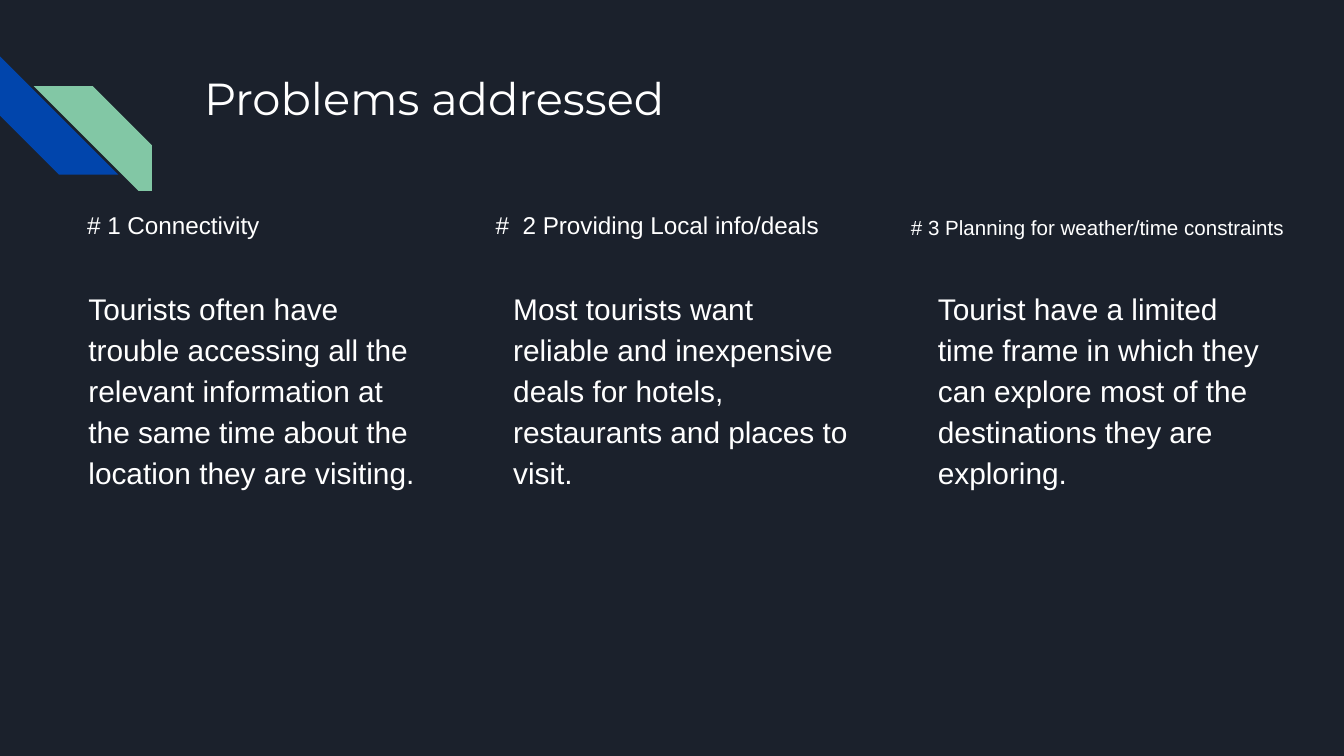
from pptx import Presentation
from pptx.dml.color import RGBColor
from pptx.enum.shapes import MSO_SHAPE
from pptx.enum.text import MSO_ANCHOR
from pptx.util import Inches, Pt

BACKGROUND, BLUE, GREEN, WHITE = "1B212C", "0145AC", "82C7A5", "FFFFFF"
LEFT, TOP, PITCH = 0.47, 1.43, 3.16
CARD_W, CARD_H, HEADER_H = 2.88, 3.74, 0.51

# heading, heading size, heading offset and width in its card, body
PROBLEMS = [
    ("# 1 Connectivity", 13, (0.08, 0), 2.73,
     "Tourists often have trouble accessing all the relevant information "
     "at the same time about the location they are visiting."),
    ("#  2 Providing Local info/deals", 13, (-0.04, 0), 2.73,
     "Most tourists want reliable and inexpensive deals for hotels, "
     "restaurants and places to visit."),
    ("# 3 Planning for weather/time constraints", 11, (-0.11, 0.04), 3.1,
     "Tourist have a limited time frame in which they can explore most "
     "of the destinations they are exploring."),
]


def color(value):
    return RGBColor.from_string(value)


def add_shape(slide, kind, x, y, w, h, fill=None, line=None):
    s = slide.shapes.add_shape(kind, Inches(x), Inches(y), Inches(w), Inches(h))
    s.shadow.inherit = False
    if fill:
        s.fill.solid()
        s.fill.fore_color.rgb = color(fill)
    else:
        s.fill.background()
    if line:
        s.line.color.rgb = color(line)
        s.line.width = Pt(0.75)
    else:
        s.line.fill.background()
    return s


def add_text(slide, text, x, y, w, h, size, font="Arial", spacing=1.15, after=0):
    tf = slide.shapes.add_textbox(Inches(x), Inches(y), Inches(w), Inches(h)).text_frame
    tf.word_wrap = True
    tf.vertical_anchor = MSO_ANCHOR.TOP
    tf.margin_left = tf.margin_right = tf.margin_top = tf.margin_bottom = Inches(0.1)
    p = tf.paragraphs[0]
    p.text = text
    p.line_spacing = spacing
    p.space_after = Pt(after)
    p.font.name = font
    p.font.size = Pt(size)
    p.font.color.rgb = color(WHITE)


def add_stripes(slide, x, y, size):
    blue = add_shape(slide, MSO_SHAPE.DIAGONAL_STRIPE, x, y, size, size, BLUE)
    blue.rotation = 270
    green = add_shape(slide, MSO_SHAPE.DIAGONAL_STRIPE, x + 0.25, y + 0.22,
                      size, size, GREEN)
    green._element.spPr.xfrm.set("flipH", "1")


def add_problem(slide, x, y, w, h, heading, size, offset, heading_w, body):
    """Place a card with its heading and body; the header strip is background-coloured."""
    add_shape(slide, MSO_SHAPE.RECTANGLE, x, y, w, HEADER_H, fill=BACKGROUND)
    add_shape(slide, MSO_SHAPE.RECTANGLE, x, y, w, h, line=BACKGROUND)
    dx, dy = offset
    add_text(slide, heading, x + dx, y + dy, heading_w, 0.5, size)
    add_text(slide, body, x + 0.09, y + 0.59, w - 0.17, h - 0.68, 16, after=12)


def main():
    prs = Presentation()
    prs.slide_width = Inches(10)
    prs.slide_height = prs.slide_width * 9 // 16
    slide = prs.slides.add_slide(prs.slide_layouts[6])
    slide.background.fill.solid()
    slide.background.fill.fore_color.rgb = color(BACKGROUND)

    add_stripes(slide, 0, 0.42, 0.88)
    add_text(slide, "Problems addressed", 1.42, 0.43, 7.7, 1, 24, "Montserrat", 1.0)
    for i, problem in enumerate(PROBLEMS):
        add_problem(slide, LEFT + i * PITCH, TOP, CARD_W, CARD_H, *problem)
    prs.save("out.pptx")


if __name__ == "__main__":
    main()
